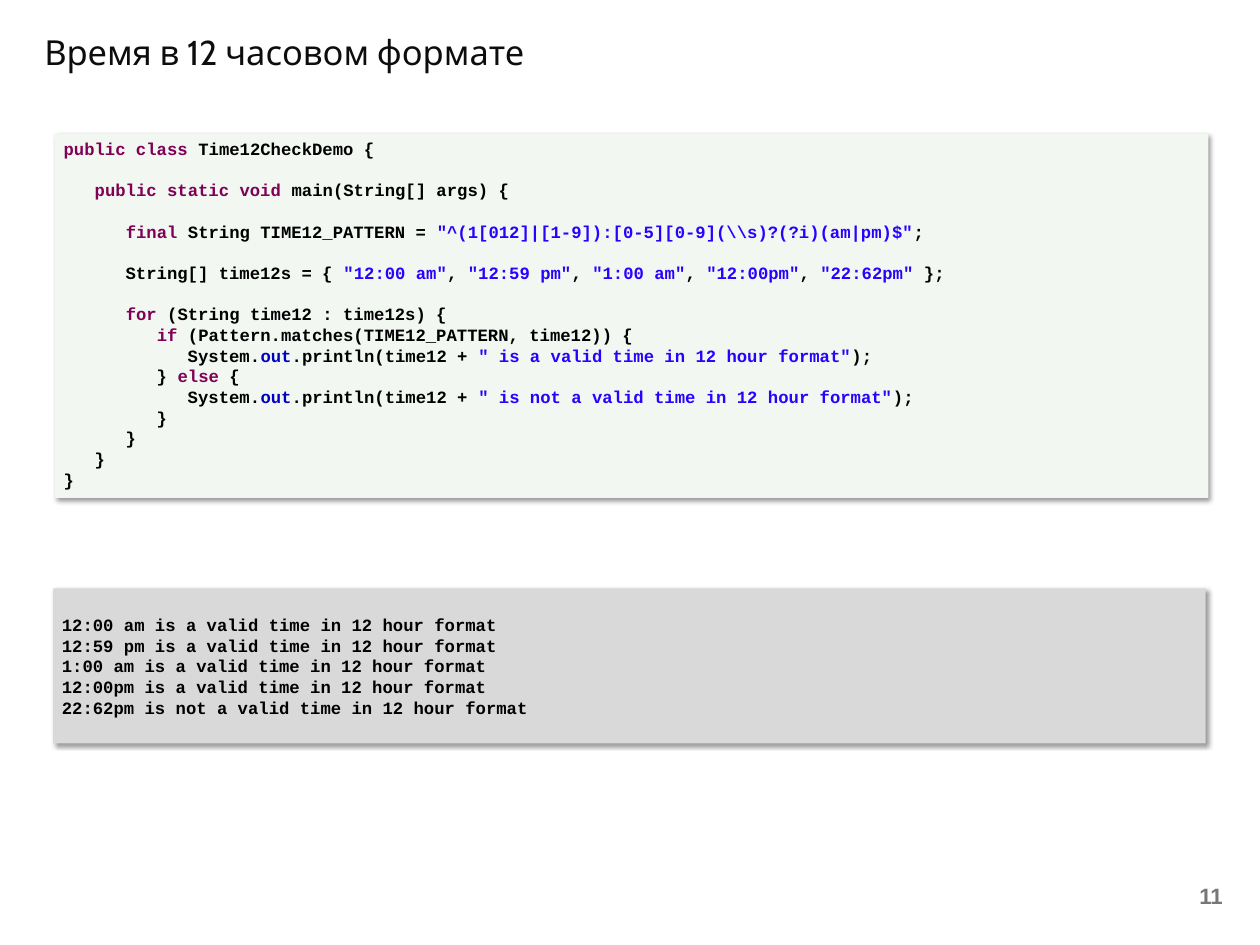
"""Builds a slide with a Java time check and its console output."""
import lxml.etree
import pptx
import pptx.dml.color
import pptx.enum.shapes
import pptx.enum.text
import pptx.oxml.ns
import pptx.util

Pt = pptx.util.Pt
ALIGN = pptx.enum.text.PP_ALIGN
ANCHOR = pptx.enum.text.MSO_ANCHOR

COLORS = {
    "title": "0D0D0D",
    "page": "777777",
    "plain": "000000",
    "key": "7F0055",
    "string": "2A00FF",
    "field": "0000C0",
    "code": "F2F7F2",
    "output": "D9D9D9",
    "shadow": "000000",
}

CODE = [
    ["`public class` Time12CheckDemo {"],
    ["   `public static void` main(String[] args) {"],
    [r'      `final` String TIME12_PATTERN = `"^(1[012]|[1-9]):[0-5][0-9](\\s)?(?i)(am|pm)$"`;'],
    ['      String[] time12s = { `"12:00 am"`, `"12:59 pm"`, `"1:00 am"`, `"12:00pm"`, `"22:62pm"` };'],
    [
        "      `for` (String time12 : time12s) {",
        "         `if` (Pattern.matches(TIME12_PATTERN, time12)) {",
        '            System.`out`.println(time12 + `" is a valid time in 12 hour format"`);',
        "         } `else` {",
        '            System.`out`.println(time12 + `" is not a valid time in 12 hour format"`);',
        "         }",
        "      }",
        "   }",
        "}",
    ],
]

OUTPUT = [[
    "12:00 am is a valid time in 12 hour format",
    "12:59 pm is a valid time in 12 hour format",
    "1:00 am is a valid time in 12 hour format",
    "12:00pm is a valid time in 12 hour format",
    "22:62pm is not a valid time in 12 hour format",
]]


def rgb(name):
    """Return the named colour."""
    return pptx.dml.color.RGBColor.from_string(COLORS[name])


def accent(token):
    """Return the colour name of a highlighted token."""
    if token.startswith('"'):
        return "string"
    return "field" if token == "out" else "key"


def write(shape, blocks, *, font="Courier New", size=14, color="plain", bold=True,
          align=ALIGN.LEFT, anchor=ANCHOR.TOP, wrap=True, gap=16.8):
    """Fill a shape with blocks of lines; backticks enclose highlighted tokens."""
    frame = shape.text_frame
    frame.word_wrap = wrap
    frame.vertical_anchor = anchor
    para = None
    for block in blocks:
        for row, line in enumerate(block):
            first = para is None
            para = frame.paragraphs[0] if first else frame.add_paragraph()
            para.alignment = align
            para.space_before = Pt(gap if row == 0 and not first else 0)
            for index, token in enumerate(line.split("`")):
                if not token:
                    continue
                run = para.add_run()
                run.text = token
                run.font.name = font
                run.font.size = Pt(size)
                run.font.bold = bold
                run.font.color.rgb = rgb(accent(token) if index % 2 else color)


def shade(shape):
    """Give a shape a soft shadow towards the lower right."""
    shape.shadow.inherit = False
    qn = pptx.oxml.ns.qn
    effects = shape.element.spPr.find(qn("a:effectLst"))
    outer = lxml.etree.SubElement(
        effects, qn("a:outerShdw"), blurRad=str(Pt(4)), dist=str(Pt(3)),
        dir="2700000", algn="tl", rotWithShape="0")
    tint = lxml.etree.SubElement(outer, qn("a:srgbClr"), val=COLORS["shadow"])
    lxml.etree.SubElement(tint, qn("a:alpha"), val="40000")


def panel(slide, box, fill, blocks, **form):
    """Add a shaded rectangle with lines of code."""
    kind = pptx.enum.shapes.MSO_SHAPE.RECTANGLE
    shape = slide.shapes.add_shape(kind, *map(Pt, box))
    shape.fill.solid()
    shape.fill.fore_color.rgb = rgb(fill)
    shape.line.fill.background()
    shade(shape)
    write(shape, blocks, **form)


def title(slide, box, text):
    """Place and fill the title."""
    shape = slide.shapes.title
    shape.left, shape.top, shape.width, shape.height = map(Pt, box)
    write(shape, [[text]], font="Cabin", size=28, color="title", bold=False, wrap=False)


def number(slide, box, text):
    """Add the page number."""
    shape = slide.shapes.add_textbox(*map(Pt, box))
    write(shape, [[text]], font="Arial", size=18, color="page",
          align=ALIGN.RIGHT, anchor=ANCHOR.MIDDLE)


def main():
    """Build and save the slide."""
    deck = pptx.Presentation()
    deck.slide_width, deck.slide_height = Pt(1024), Pt(768)
    slide = deck.slides.add_slide(deck.slide_layouts[5])
    title(slide, (28.8, 21.6, 794.2, 45.4), "Время в 12 часовом формате")
    number(slide, (761.8, 709.2, 239, 38.2), "11")
    panel(slide, (44.6, 108.7, 937.4, 295.9), "code", CODE)
    panel(slide, (43.2, 478.1, 936.7, 126), "output", OUTPUT, anchor=ANCHOR.MIDDLE)
    deck.save("out.pptx")


if __name__ == "__main__":
    main()
